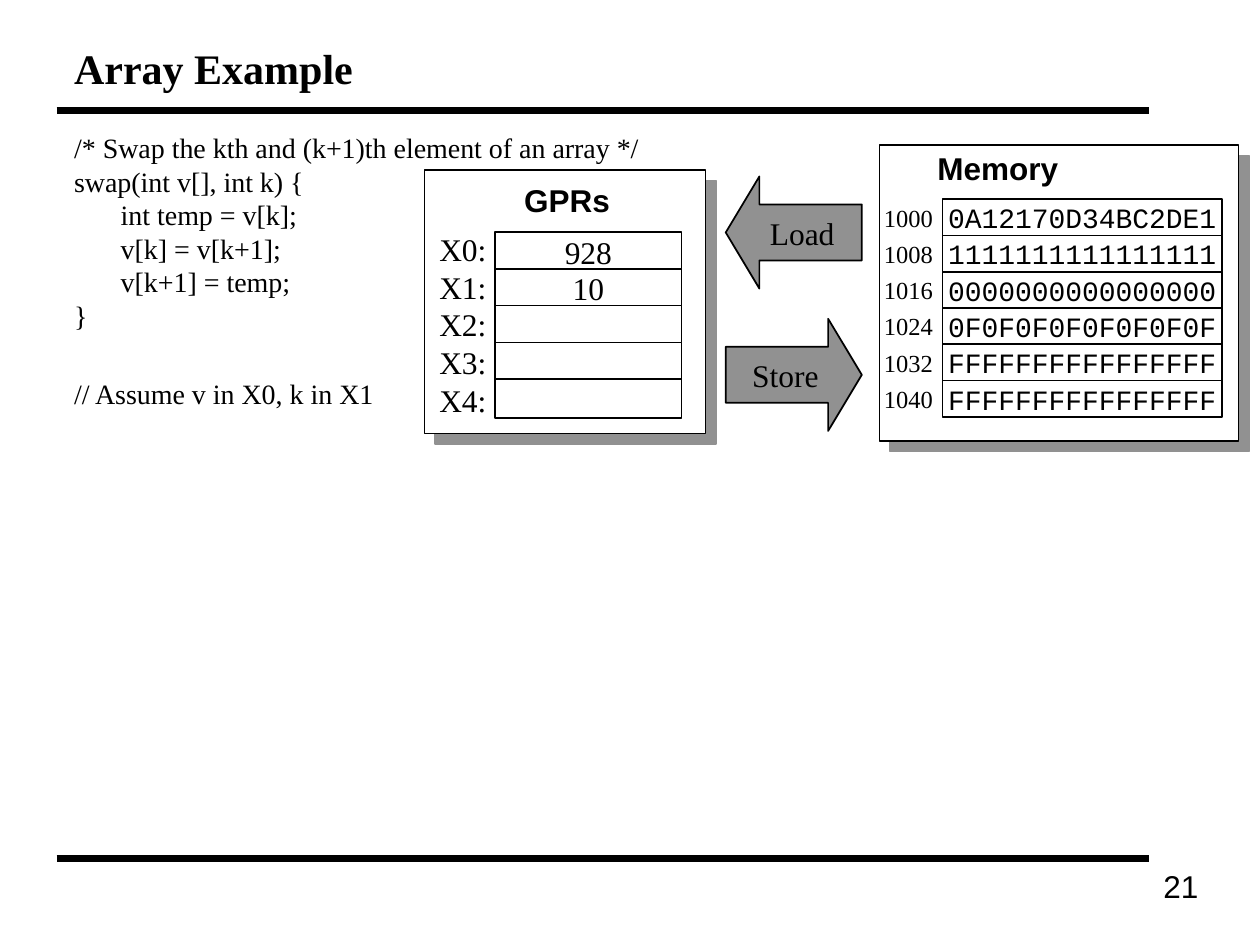
import dataclasses
import typing

import lxml.etree
import pptx
import pptx.dml.color
import pptx.enum.shapes
import pptx.enum.text
import pptx.oxml.ns
import pptx.util

Pt = pptx.util.Pt
Color = pptx.dml.color.RGBColor
Align = pptx.enum.text.PP_ALIGN
Anchor = pptx.enum.text.MSO_ANCHOR
Preset = pptx.enum.shapes.MSO_SHAPE


@dataclasses.dataclass(frozen=True)
class Theme:
    ink: Color = Color(0, 0, 0)
    paper: Color = Color(255, 255, 255)
    grey: Color = Color(0x91, 0x91, 0x91)
    serif: str = "Times New Roman"
    sans: str = "Arial"
    mono: str = "Courier New"
    title: float = 24
    label: float = 18
    code: float = 16
    address: float = 14
    rule: float = 4
    outline: float = 1


THEME = Theme()


class Box(typing.NamedTuple):
    left: float
    top: float
    width: float
    height: float

    def lengths(self) -> list:
        return [Pt(value) for value in self]

    def below(self, distance: float) -> "Box":
        return self._replace(top=self.top + distance)


@dataclasses.dataclass(frozen=True)
class Style:
    font: str = THEME.serif
    size: float = THEME.label
    bold: bool = False
    align: Align = Align.CENTER
    anchor: Anchor = Anchor.TOP
    wrap: bool = False
    margins: tuple = (7.2, 3.6)
    spacing: typing.Any = None


TITLE = Style(size=THEME.title, bold=True, align=Align.LEFT, anchor=Anchor.MIDDLE, wrap=True)
CODE = Style(size=THEME.code, align=Align.LEFT, wrap=True, spacing=Pt(19.15))
PAGE_NUMBER = Style(font=THEME.sans, align=Align.RIGHT, wrap=True)
HEADING = Style(font=THEME.sans, bold=True, wrap=True, margins=(5.04, 2.16), spacing=0.85)
MEMORY_HEADING = dataclasses.replace(HEADING, align=Align.LEFT, wrap=False)
CENTERED = Style(anchor=Anchor.MIDDLE)
WORD = Style(font=THEME.mono, size=THEME.code, anchor=Anchor.MIDDLE)
ADDRESS = Style(size=THEME.address)
REGISTER_NAMES = Style(align=Align.RIGHT, spacing=Pt(21.5))


class CodeLine(typing.NamedTuple):
    text: str
    indent: float = 0
    space_before: float = 0


class MemoryWord(typing.NamedTuple):
    address: int
    value: str


CODE_INDENT = 26.64
CODE_LINES = [
    CodeLine("/* Swap the kth and (k+1)th element of an array */"),
    CodeLine("swap(int v[], int k) {"),
    CodeLine("int temp = v[k];", CODE_INDENT),
    CodeLine("v[k] = v[k+1];", CODE_INDENT),
    CodeLine("v[k+1] = temp;", CODE_INDENT),
    CodeLine("}"),
    CodeLine("// Assume v in X0, k in X1", space_before=25.5),
]
REGISTER_VALUES = ["928", "10", "", "", ""]
REGISTER_PITCH = 21.06
MEMORY_VALUES = [
    "0A12170D34BC2DE1",
    "1" * 16,
    "0" * 16,
    "0F" * 8,
    "F" * 16,
    "F" * 16,
]
MEMORY_WORDS = [MemoryWord(1000 + 8 * row, value) for row, value in enumerate(MEMORY_VALUES)]
MEMORY_PITCH = 20.74


def write(shape, text: str, style: Style) -> None:
    frame = shape.text_frame
    frame.text = text
    frame.word_wrap = style.wrap
    frame.vertical_anchor = style.anchor
    frame.margin_left = frame.margin_right = Pt(style.margins[0])
    frame.margin_top = frame.margin_bottom = Pt(style.margins[1])
    for paragraph in frame.paragraphs:
        paragraph.alignment = style.align
        if style.spacing is not None:
            paragraph.line_spacing = style.spacing
        for run in paragraph.runs:
            run.font.name = style.font
            run.font.size = Pt(style.size)
            run.font.bold = style.bold
            run.font.color.rgb = THEME.ink


def add_text(slide, box: Box, text: str, style: Style):
    shape = slide.shapes.add_textbox(*box.lengths())
    write(shape, text, style)
    return shape


def add_outlined(slide, preset: Preset, box: Box, fill: Color, text: str = "", style: Style = CENTERED):
    shape = slide.shapes.add_shape(preset, *box.lengths())
    shape.shadow.inherit = False
    shape.fill.solid()
    shape.fill.fore_color.rgb = fill
    shape.line.color.rgb = THEME.ink
    shape.line.width = Pt(THEME.outline)
    if text:
        write(shape, text, style)
    return shape


def add_panel(slide, box: Box) -> None:
    panel = add_outlined(slide, Preset.RECTANGLE, box, THEME.paper)
    qualified = pptx.oxml.ns.qn
    effects = panel._element.spPr.find(qualified("a:effectLst"))
    shadow = lxml.etree.SubElement(
        effects, qualified("a:outerShdw"), dist=str(Pt(8.5)), dir=str(45 * 60000), algn="ctr", rotWithShape="0"
    )
    lxml.etree.SubElement(shadow, qualified("a:srgbClr"), val=str(THEME.grey))


def add_rule(slide, top: float) -> None:
    line = slide.shapes.add_connector(
        pptx.enum.shapes.MSO_CONNECTOR.STRAIGHT, Pt(32.4), Pt(top), Pt(656.64), Pt(top)
    )
    line.line.color.rgb = THEME.ink
    line.line.width = Pt(THEME.rule)
    lxml.etree.SubElement(line._element.spPr, pptx.oxml.ns.qn("a:effectLst"))


def add_arrow(slide, preset: Preset, top: float, text: str) -> None:
    arrow = add_outlined(slide, preset, Box(414.72, top, 77.76, 64.08), THEME.grey, text)
    arrow.adjustments[0] = 0.5
    arrow.adjustments[1] = 0.3


def add_code(slide) -> None:
    text = "\n".join(line.text for line in CODE_LINES)
    shape = add_text(slide, Box(35.28, 71.28, 650.88, 414.72), text, CODE)
    for paragraph, line in zip(shape.text_frame.paragraphs, CODE_LINES):
        paragraph.space_before = Pt(line.space_before)
        paragraph._p.get_or_add_pPr().set("marL", str(Pt(line.indent)))


def add_registers(slide) -> None:
    add_panel(slide, Box(242.64, 97.2, 160.56, 150.48))
    add_text(slide, Box(244.08, 104.4, 159.84, 22.32), "GPRs", HEADING)
    names = "\n".join(f"X{number}:" for number in range(len(REGISTER_VALUES)))
    add_text(slide, Box(243.36, 128.16, 41.76, 116.64), names, REGISTER_NAMES)
    first = Box(282.96, 132.48, 106.56, 22.32)
    for row, value in enumerate(REGISTER_VALUES):
        add_outlined(slide, Preset.RECTANGLE, first.below(row * REGISTER_PITCH), THEME.paper, value)


def add_memory(slide) -> None:
    add_panel(slide, Box(502.56, 82.8, 205.2, 169.2))
    add_text(slide, Box(530.64, 86.4, 79.2, 22.32), "Memory", MEMORY_HEADING)
    first_word = Box(538.56, 113.76, 159.84, 20.88)
    first_address = Box(497.52, 112.2, 43.2, 24.4)
    for row, word in enumerate(MEMORY_WORDS):
        distance = row * MEMORY_PITCH
        add_outlined(slide, Preset.RECTANGLE, first_word.below(distance), THEME.paper, word.value, WORD)
        add_text(slide, first_address.below(distance), str(word.address), ADDRESS)


def main() -> None:
    presentation = pptx.Presentation()
    presentation.slide_width, presentation.slide_height = Pt(720), Pt(540)
    slide = presentation.slides.add_slide(presentation.slide_layouts[6])
    for top in (63.36, 490.32):
        add_rule(slide, top)
    add_text(slide, Box(35.28, 18, 650.88, 41.76), "Array Example", TITLE)
    add_code(slide)
    add_text(slide, Box(544.32, 491.76, 147.6, 35.28), "21", PAGE_NUMBER)
    add_arrow(slide, Preset.RIGHT_ARROW, 182.16, "Store")
    add_arrow(slide, Preset.LEFT_ARROW, 100.8, "Load")
    add_registers(slide)
    add_memory(slide)
    presentation.save("out.pptx")


if __name__ == "__main__":
    main()
